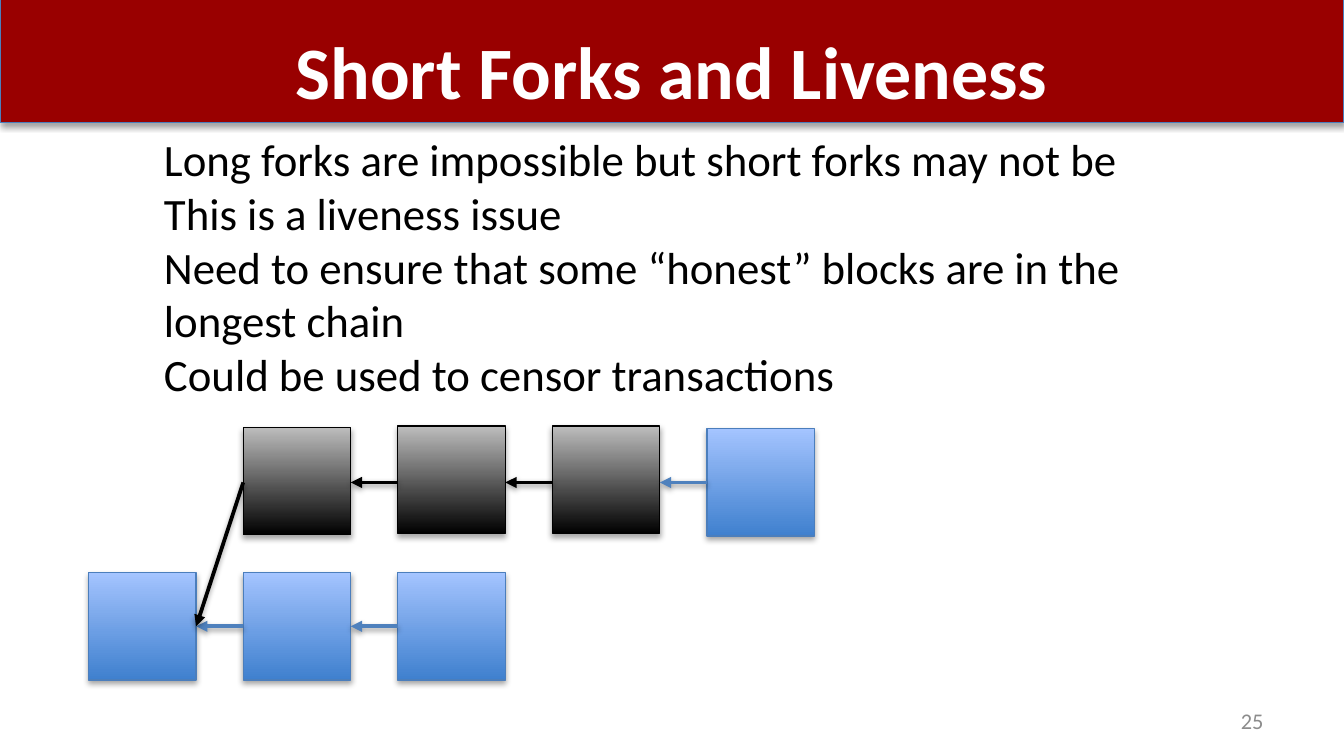
from lxml.etree import SubElement
from pptx import Presentation
from pptx.dml.color import RGBColor
from pptx.enum.shapes import MSO_CONNECTOR, MSO_SHAPE
from pptx.enum.text import MSO_ANCHOR, MSO_AUTO_SIZE, PP_ALIGN
from pptx.oxml.ns import qn
from pptx.util import Inches, Pt

# Content
TITLE = "Short Forks and Liveness"
POINTS = [
    "Long forks are impossible but short forks may not be",
    "This is a liveness issue",
    "Need to ensure that some “honest” blocks are in the longest chain",
    "Could be used to censor transactions",
]
PAGE = "25"
COLORS = {
    "banner": "990000", "banner_line": "4B7EBC", "title": "FFFFFF",
    "text": "000000", "page": "8C8C8C", "shadow": "000000",
}
BLOCK_STYLES = {  # bottom colour, top colour, outline, arrow
    "honest": ("3F80CE", "A4C4FF", "4B7EBC", "4F81BD"),
    "attacker": ("000000", "BDBDBD", "000000", "000000"),
}
# Each chain: first column, arrow height, blocks as (style, top)
CHAINS = [
    (0, 4.66, [("honest", 4.26)] * 3),
    (1, 3.59, [("attacker", 3.18), ("attacker", 3.17),
               ("attacker", 3.17), ("honest", 3.19)]),
]
BLOCK, LEFT, STEP = 0.8, 0.66, 1.15
FONT = "Calibri"


def rgb(value):
    return RGBColor.from_string(value)


def add_shadow(shape, opacity, blur, distance):
    effects = SubElement(shape._element.spPr, qn("a:effectLst"))
    shadow = SubElement(effects, qn("a:outerShdw"), blurRad=str(Pt(blur)),
                        dist=str(Pt(distance)), dir="5400000", rotWithShape="0")
    color = SubElement(shadow, qn("a:srgbClr"), val=COLORS["shadow"])
    SubElement(color, qn("a:alpha"), val=str(opacity * 1000))


def add_box(left, top, width, height, line):
    box = slide.shapes.add_shape(MSO_SHAPE.RECTANGLE, Inches(left), Inches(top),
                                 Inches(width), Inches(height))
    box.line.color.rgb = rgb(line)
    box.line.width = Pt(0.75)
    add_shadow(box, 35, 3.1, 1.8)
    return box


def add_block(left, top, style):
    bottom_color, top_color, line, _ = BLOCK_STYLES[style]
    block = add_box(left, top, BLOCK, BLOCK, line)
    block.fill.gradient()
    block.fill.gradient_angle = 90
    for stop, color in zip(block.fill.gradient_stops, (bottom_color, top_color)):
        stop.color.rgb = rgb(color)


def add_arrow(parent, child, style):
    """Point from a block back to its parent."""
    x1, y1, x2, y2 = (Inches(v) for v in (*parent, *child))
    arrow = slide.shapes.add_connector(MSO_CONNECTOR.STRAIGHT, x1, y1, x2, y2)
    arrow.line.color.rgb = rgb(BLOCK_STYLES[style][3])
    arrow.line.width = Pt(2)
    SubElement(arrow.line._get_or_add_ln(), qn("a:headEnd"), type="triangle")
    add_shadow(arrow, 38, 3.1, 1.6)


def place(shape, left, top, width, height):
    shape.left, shape.top = Inches(left), Inches(top)
    shape.width, shape.height = Inches(width), Inches(height)


def format_text(frame, size, color, align, bold=False):
    frame.word_wrap = True
    frame.auto_size = MSO_AUTO_SIZE.NONE
    for paragraph in frame.paragraphs:
        paragraph.alignment = align
        paragraph.space_before = Pt(0)
        for run in paragraph.runs:
            run.font.name, run.font.size, run.font.bold = FONT, Pt(size), bold
            run.font.color.rgb = rgb(color)


# Widescreen slide, 16:9
prs = Presentation()
prs.slide_width = Inches(10)
prs.slide_height = Inches(10 * 9 / 16)
slide = prs.slides.add_slide(prs.slide_layouts[1])
title, points = slide.placeholders

# Banner behind the title
banner = add_box(0, -0.01, 10, 0.92, COLORS["banner_line"])
banner.fill.solid()
banner.fill.fore_color.rgb = rgb(COLORS["banner"])
slide.shapes._spTree.insert(2, banner._element)

# Title
place(title, 0.5, 0.14, 9, 0.68)
title.text_frame.text = TITLE
title.text_frame.vertical_anchor = MSO_ANCHOR.TOP
title.text_frame.margin_top = Inches(0.05)
format_text(title.text_frame, 39.6, COLORS["title"], PP_ALIGN.CENTER, True)

# Points, without bullets
place(points, 1.12, 0.93, 7.59, 2.12)
points.text_frame.text = "\n".join(POINTS)
format_text(points.text_frame, 24, COLORS["text"], PP_ALIGN.LEFT)
for paragraph in points.text_frame.paragraphs:
    properties = paragraph._p.get_or_add_pPr()
    properties.set("marL", "0")
    properties.set("indent", "0")
    SubElement(properties, qn("a:buNone"))

# Page number
page = slide.shapes.add_textbox(Inches(7.17), Inches(5.21), Inches(2.33), Inches(0.3))
page.text_frame.text = PAGE
page.text_frame.vertical_anchor = MSO_ANCHOR.MIDDLE
format_text(page.text_frame, 12, COLORS["page"], PP_ALIGN.RIGHT)

# Chains of blocks, each linked to the one before
for first, middle, blocks in CHAINS:
    for column, (style, top) in enumerate(blocks, first):
        left = LEFT + column * STEP
        add_block(left, top, style)
        if column > first:
            add_arrow((left - STEP + BLOCK, middle), (left, middle), style)

# Fork from the first honest block
(_, honest_middle, _), (fork_column, fork_middle, _) = CHAINS
add_arrow((LEFT + BLOCK, honest_middle),
          (LEFT + fork_column * STEP, fork_middle), "attacker")

prs.save("out.pptx")
